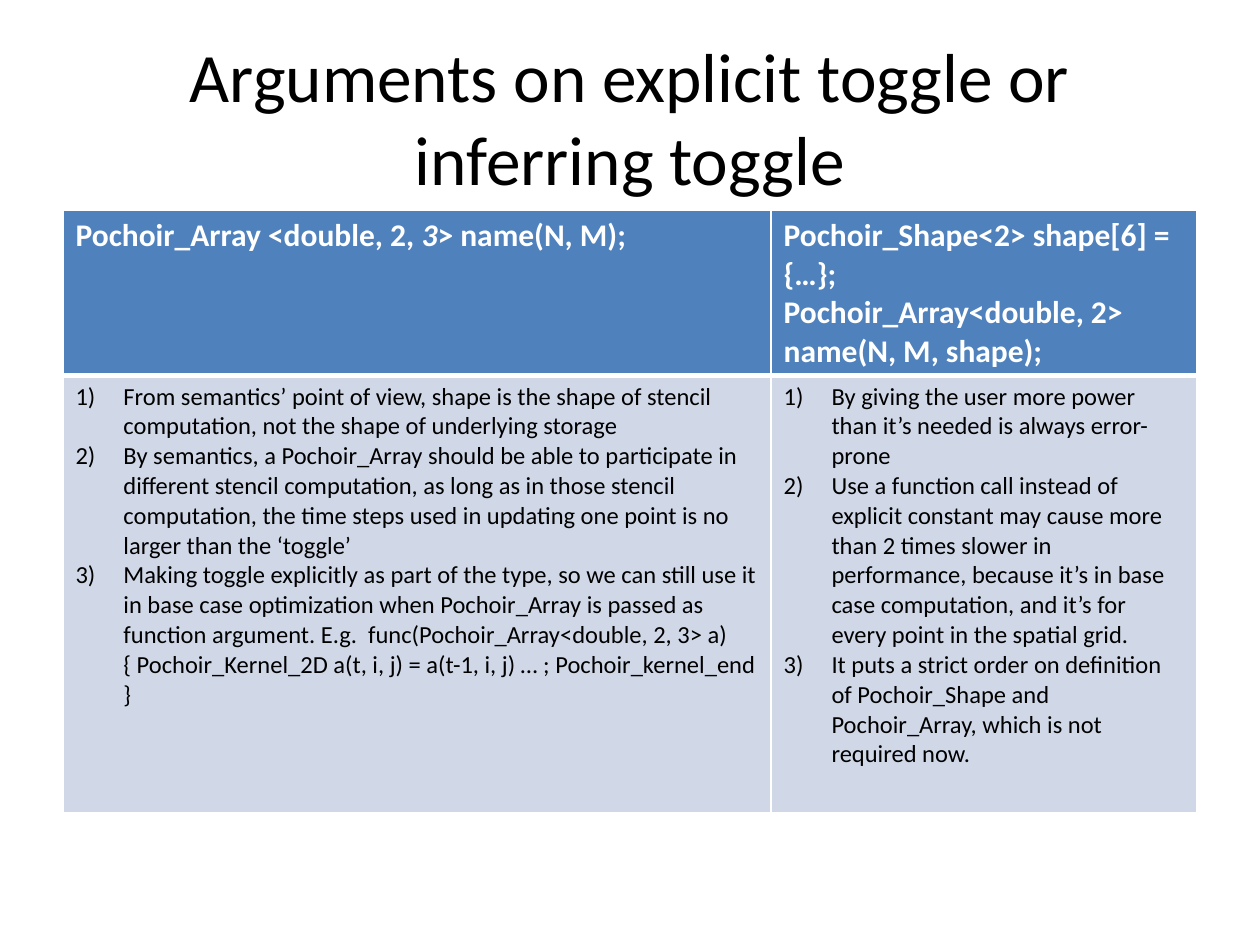
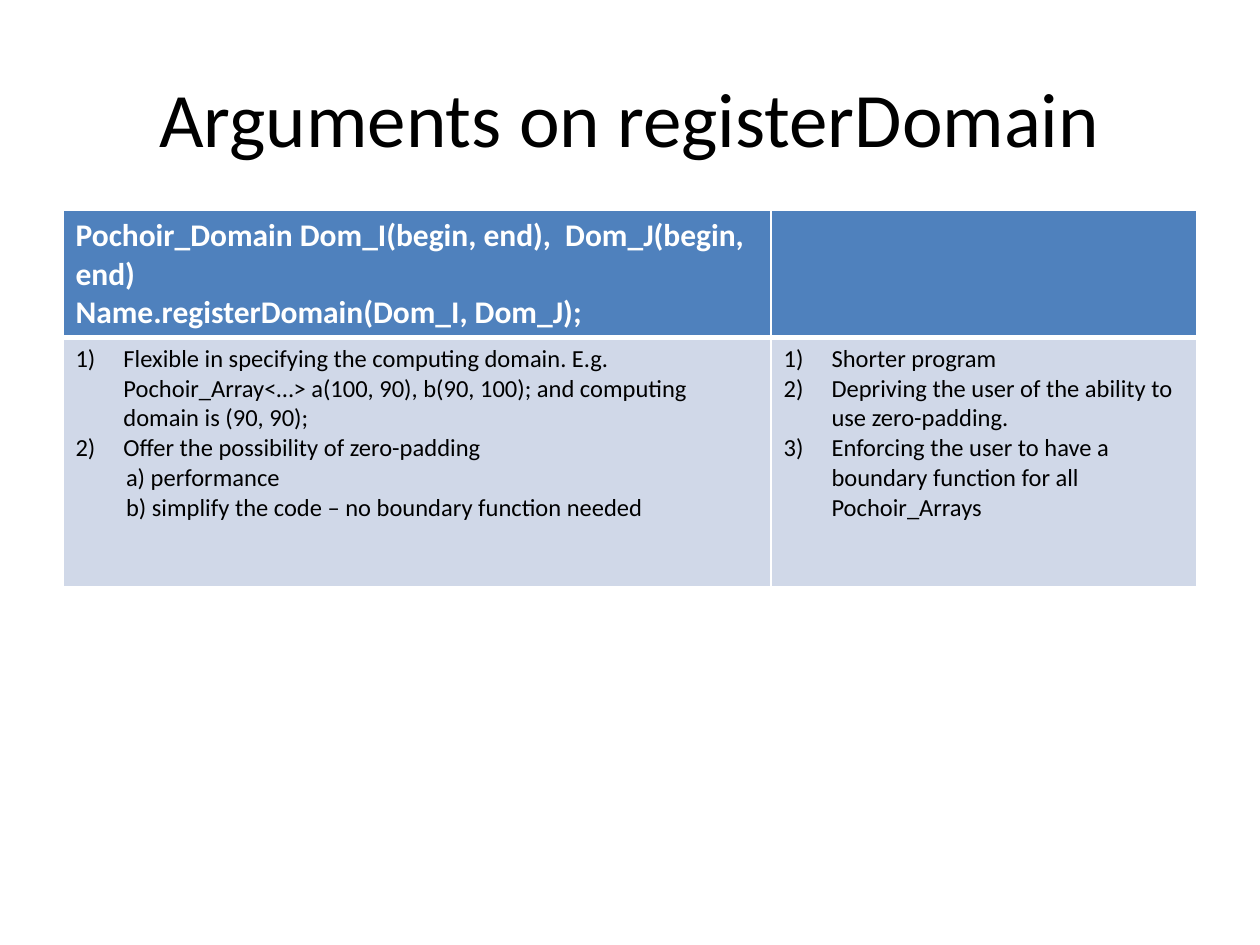
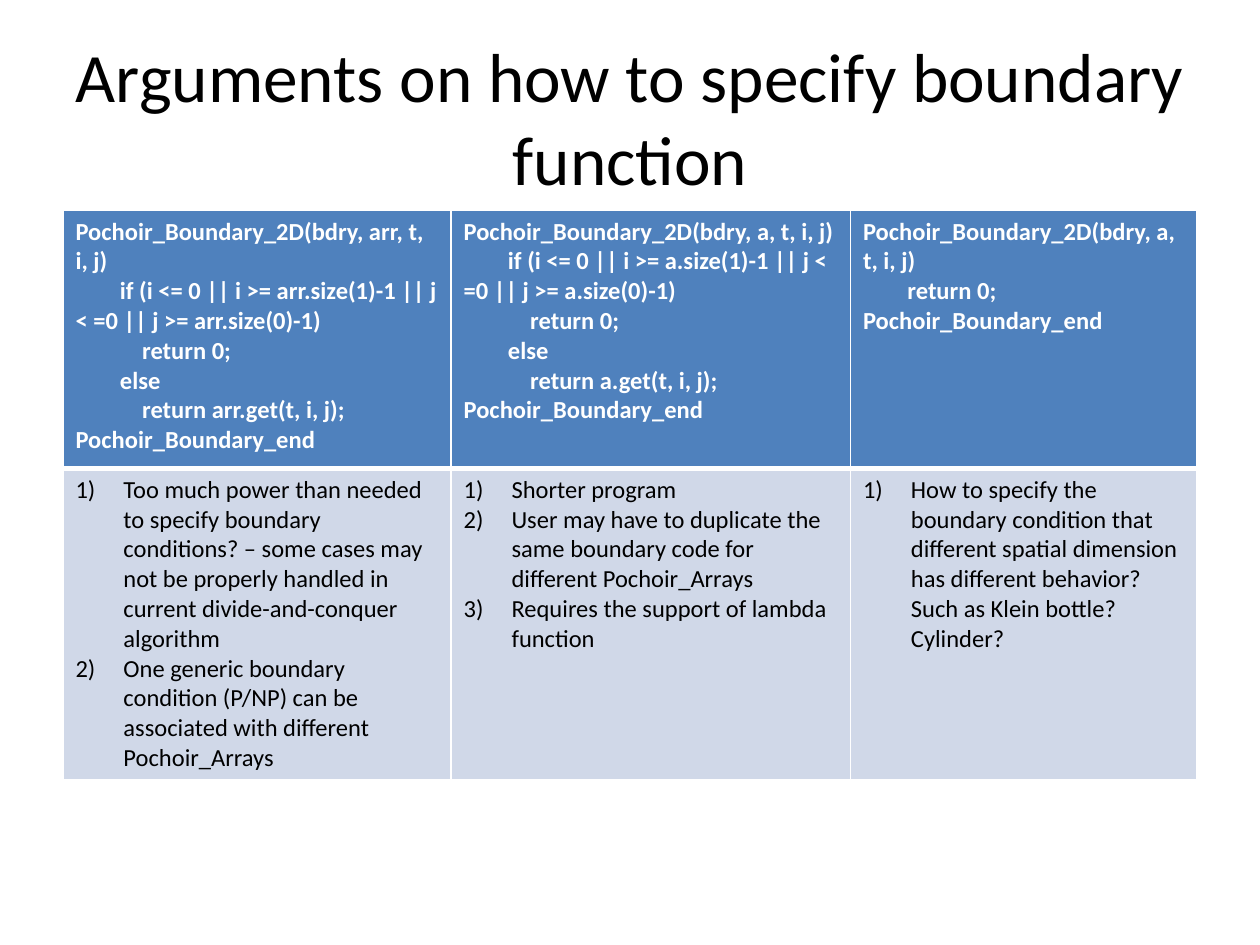
from dataclasses import dataclass
from typing import NamedTuple

from lxml.etree import SubElement
from pptx import Presentation
from pptx.dml.color import RGBColor
from pptx.enum.text import MSO_ANCHOR, PP_ALIGN
from pptx.oxml import parse_xml
from pptx.oxml.ns import nsdecls, qn
from pptx.util import Inches, Pt


@dataclass(frozen=True)
class Theme:
    font: str = "Calibri"
    black: RGBColor = RGBColor.from_string("000000")
    white: RGBColor = RGBColor.from_string("FFFFFF")
    header_fill: RGBColor = RGBColor.from_string("4F81BD")
    body_fill: RGBColor = RGBColor.from_string("D0D8E8")
    title_size: float = 44
    long_title_size: float = 39.6
    large_size: float = 18
    text_size: float = 14
    thin_border: float = 1
    thick_border: float = 3


THEME = Theme()


class Span(NamedTuple):
    text: str
    italic: bool = False


class Line(NamedTuple):
    spans: tuple[Span, ...]
    indent: float = 0
    numbered: bool = False


class Option(NamedTuple):
    width: float
    header: list[Line]
    arguments: list[Line]


@dataclass(frozen=True)
class Comparison:
    title: str
    title_size: float
    header_size: float
    row_heights: tuple[float, float]
    options: list[Option]


def code(*texts: str) -> list[Line]:
    return [Line((Span(text),)) for text in texts]


def numbered(*texts: str) -> list[Line]:
    return [Line((Span(text),), 0.38, True) for text in texts]


def nested(*texts: str) -> list[Line]:
    return [Line((Span(text),), 0.4) for text in texts]


COMPARISONS = [
    Comparison(
        "Arguments on explicit toggle or inferring toggle",
        THEME.long_title_size, THEME.large_size, (1.31, 3.47),
        [
            Option(
                5.62,
                [Line((Span("Pochoir_Array <double, 2, "), Span("3", True),
                       Span("> name(N, M);")))],
                numbered(
                    "From semantics’ point of view, shape is the shape of stencil "
                    "computation, not the shape of underlying storage",
                    "By semantics, a Pochoir_Array should be able to participate in "
                    "different stencil computation, as long as in those stencil "
                    "computation, the time steps used in updating one point is no "
                    "larger than the ‘toggle’",
                    "Making toggle explicitly as part of the type, so we can still use "
                    "it in base case optimization when Pochoir_Array is passed as "
                    "function argument. E.g.  func(Pochoir_Array<double, 2, 3> a) "
                    "{ Pochoir_Kernel_2D a(t, i, j) = a(t-1, i, j) … ; "
                    "Pochoir_kernel_end }",
                ),
            ),
            Option(
                3.38,
                code("Pochoir_Shape<2> shape[6] = {…};",
                     "Pochoir_Array<double, 2> name(N, M, shape);"),
                numbered(
                    "By giving the user more power than it’s needed is always "
                    "error-prone",
                    "Use a function call instead of explicit constant may cause more "
                    "than 2 times slower in performance, because it’s in base case "
                    "computation, and it’s for every point in the spatial grid.",
                    "It puts a strict order on definition of Pochoir_Shape and "
                    "Pochoir_Array, which is not required now.",
                ),
            ),
        ],
    ),
    Comparison(
        "Arguments on registerDomain",
        THEME.title_size, THEME.large_size, (1.01, 1.98),
        [
            Option(
                5.62,
                code("Pochoir_Domain Dom_I(begin, end),  Dom_J(begin, end)",
                     "Name.registerDomain(Dom_I, Dom_J);"),
                numbered(
                    "Flexible in specifying the computing domain. E.g. "
                    "Pochoir_Array<…> a(100, 90), b(90, 100); and computing domain "
                    "is (90, 90);",
                    "Offer the possibility of zero-padding",
                ) + nested(
                    "a) performance",
                    "b) simplify the code – no boundary function needed",
                ),
            ),
            Option(
                3.38,
                [],
                numbered(
                    "Shorter program",
                    "Depriving the user of the ability to use zero-padding.",
                    "Enforcing the user to have a boundary function for all "
                    "Pochoir_Arrays",
                ),
            ),
        ],
    ),
    Comparison(
        "Arguments on how to specify boundary function",
        THEME.long_title_size, THEME.text_size, (2.05, 2.47),
        [
            Option(
                3.08,
                code("Pochoir_Boundary_2D(bdry, arr, t, i, j)",
                     "        if (i <= 0 || i >= arr.size(1)-1 || j < =0 || "
                     "j >= arr.size(0)-1)",
                     "            return 0;",
                     "        else",
                     "            return arr.get(t, i, j);",
                     "Pochoir_Boundary_end"),
                numbered(
                    "Too much power than needed to specify boundary conditions? – "
                    "some cases may not be properly handled in current "
                    "divide-and-conquer algorithm",
                    "One generic boundary condition (P/NP) can be associated with "
                    "different Pochoir_Arrays",
                ),
            ),
            Option(
                3.17,
                code("Pochoir_Boundary_2D(bdry, a, t, i, j)",
                     "        if (i <= 0 || i >= a.size(1)-1 || j < =0 || "
                     "j >= a.size(0)-1)",
                     "            return 0;",
                     "        else",
                     "            return a.get(t, i, j);",
                     "Pochoir_Boundary_end"),
                numbered(
                    "Shorter program",
                    "User may have to duplicate the same boundary code for different "
                    "Pochoir_Arrays",
                    "Requires the support of lambda function",
                ),
            ),
            Option(
                2.75,
                code("Pochoir_Boundary_2D(bdry, a, t, i, j)",
                     "        return 0;",
                     "Pochoir_Boundary_end"),
                numbered(
                    "How to specify the boundary condition that different spatial "
                    "dimension has different behavior? Such as Klein bottle? "
                    "Cylinder?",
                ),
            ),
        ],
    ),
]


def set_format(target, values: dict) -> None:
    for name, value in values.items():
        setattr(target, name, value)


def write_lines(frame, lines: list[Line], size: float, color: RGBColor,
                bold: bool = False) -> None:
    for index, line in enumerate(lines):
        para = frame.paragraphs[0] if index == 0 else frame.add_paragraph()
        if line.indent:
            properties = para._p.get_or_add_pPr()
            properties.set("marL", str(Inches(line.indent)))
            if line.numbered:
                properties.set("indent", str(-Inches(line.indent)))
                SubElement(properties, qn("a:buAutoNum"), type="arabicParenR")
        for span in line.spans:
            run = para.add_run()
            run.text = span.text
            set_format(run.font, {"name": THEME.font, "size": Pt(size),
                                  "bold": bold, "italic": span.italic})
            run.font.color.rgb = color


def set_borders(cell, top: float, bottom: float) -> None:
    widths = {"lnL": THEME.thin_border, "lnR": THEME.thin_border,
              "lnT": top, "lnB": bottom}
    for index, (side, width) in enumerate(widths.items()):
        border = parse_xml(
            f'<a:{side} {nsdecls("a")} w="{Pt(width)}"><a:solidFill>'
            f'<a:srgbClr val="{THEME.white}"/></a:solidFill></a:{side}>')
        cell._tc.get_or_add_tcPr().insert(index, border)


def fill_cell(cell, fill: RGBColor, top: float, bottom: float) -> None:
    cell.fill.solid()
    cell.fill.fore_color.rgb = fill
    set_borders(cell, top, bottom)


def add_title(page, comparison: Comparison) -> None:
    box = page.shapes.add_textbox(Inches(0.5), Inches(0.3), Inches(9), Inches(1.25))
    set_format(box.text_frame, {"word_wrap": True,
                                "vertical_anchor": MSO_ANCHOR.MIDDLE})
    write_lines(box.text_frame, code(comparison.title), comparison.title_size,
                THEME.black)
    box.text_frame.paragraphs[0].alignment = PP_ALIGN.CENTER


def add_comparison_table(page, comparison: Comparison) -> None:
    table = page.shapes.add_table(
        2, len(comparison.options), Inches(0.5), Inches(1.67), Inches(9),
        Inches(sum(comparison.row_heights))).table
    set_format(table, {"first_row": False, "horz_banding": False})
    for row, height in zip(table.rows, comparison.row_heights):
        row.height = Inches(height)
    for index, option in enumerate(comparison.options):
        table.columns[index].width = Inches(option.width)
        header, body = table.cell(0, index), table.cell(1, index)
        fill_cell(header, THEME.header_fill, THEME.thin_border, THEME.thick_border)
        fill_cell(body, THEME.body_fill, THEME.thick_border, THEME.thin_border)
        write_lines(header.text_frame, option.header, comparison.header_size,
                    THEME.white, bold=True)
        write_lines(body.text_frame, option.arguments, THEME.text_size, THEME.black)


def main() -> None:
    deck = Presentation()
    set_format(deck, {"slide_width": Inches(10), "slide_height": Inches(7.5)})
    for comparison in COMPARISONS:
        page = deck.slides.add_slide(deck.slide_layouts[6])
        add_title(page, comparison)
        add_comparison_table(page, comparison)
    deck.save("out.pptx")


if __name__ == "__main__":
    main()
